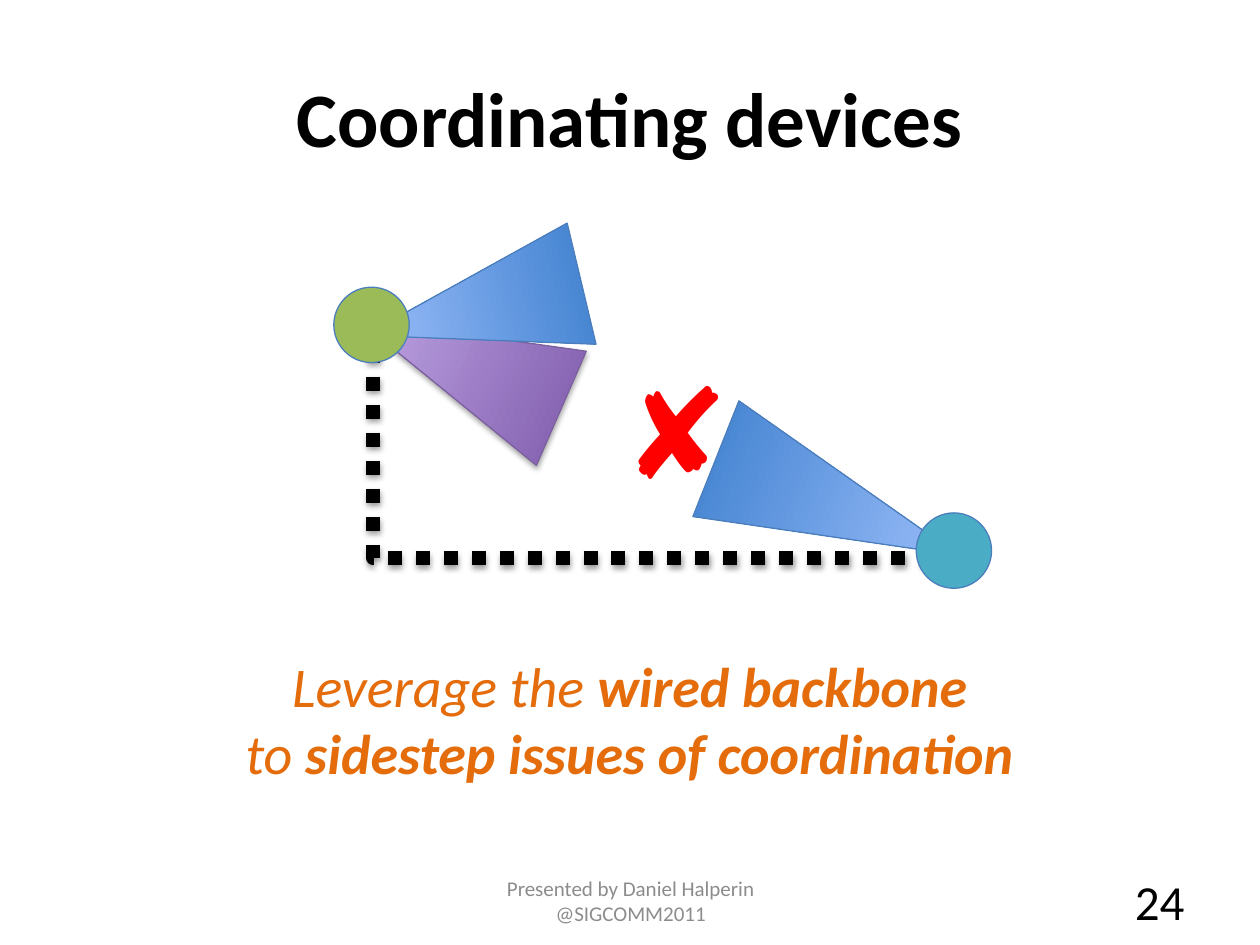
from lxml.etree import SubElement
from pptx import Presentation
from pptx.dml.color import RGBColor
from pptx.enum.dml import MSO_LINE_DASH_STYLE as Dash
from pptx.enum.shapes import MSO_CONNECTOR as Connector, MSO_SHAPE as Shape
from pptx.enum.text import MSO_ANCHOR as Anchor, PP_ALIGN as Align
from pptx.oxml.ns import qn
from pptx.util import Cm, Pt

BLUE_BEAM = ("3F80CE", "A4C4FF", "4B7EBC")
PURPLE_BEAM = ("7F5BAB", "C8B0ED", "7D60A0")
NODE_SIZE = 1.52
BEAM_WIDTH = 2.51


def color(hex_code):
    """Turn a hex string into a colour."""
    return RGBColor.from_string(hex_code)


def outline(line, hex_code, width):
    """Give a line its colour and its width in points."""
    line.color.rgb = color(hex_code)
    line.width = Pt(width)


def cast_shadow(effects, opacity, distance):
    """Add a soft black shadow that falls straight down."""
    shadow = SubElement(effects, qn("a:outerShdw"), blurRad="40000", dist=str(distance),
                        dir="5400000", rotWithShape="0")
    black = SubElement(shadow, qn("a:srgbClr"), val="000000")
    SubElement(black, qn("a:alpha"), val=str(opacity * 1000))


def add_backbone(slide, left, top, right, bottom):
    """Draw the dotted wire that runs down and then across."""
    wire = slide.shapes.add_connector(Connector.ELBOW, Cm(left), Cm(top), Cm(right), Cm(bottom))
    outline(wire.line, "000000", 8)
    wire.line.dash_style = Dash.ROUND_DOT
    properties = wire._element.spPr
    guides = properties.find(qn("a:prstGeom")).get_or_add_avLst()
    SubElement(guides, qn("a:gd"), name="adj1", fmla="val 300")
    cast_shadow(SubElement(properties, qn("a:effectLst")), 38, 20000)


def add_beam(slide, left, top, length, rotation, colors, shaded=False):
    """Draw a triangular beam that gets lighter towards its tip."""
    far, near, edge = colors
    beam = slide.shapes.add_shape(Shape.ISOSCELES_TRIANGLE, Cm(left), Cm(top),
                                  Cm(BEAM_WIDTH), Cm(length))
    beam.rotation = rotation
    beam.fill.gradient()
    beam.fill.gradient_angle = 90
    for stop, hex_code in zip(beam.fill.gradient_stops, (far, near)):
        stop.color.rgb = color(hex_code)
    far_stop, near_stop = beam.fill.gradient_stops
    far_stop.position, near_stop.position = 0, 1
    outline(beam.line, edge, 0.75)
    beam.shadow.inherit = False
    if shaded:
        cast_shadow(beam._element.spPr.find(qn("a:effectLst")), 35, 23000)


def add_node(slide, left, top, hex_code):
    """Draw a device as a round node."""
    node = slide.shapes.add_shape(Shape.OVAL, Cm(left), Cm(top), Cm(NODE_SIZE), Cm(NODE_SIZE))
    node.fill.solid()
    node.fill.fore_color.rgb = color(hex_code)
    outline(node.line, "4B7EBC", 0.75)
    node.shadow.inherit = False


def add_text(slide, left, top, width, height, lines, size, hex_code,
             align=Align.CENTER, anchor=Anchor.MIDDLE, italic=False):
    """Write lines made of (words, bold) runs in one paragraph."""
    frame = slide.shapes.add_textbox(Cm(left), Cm(top), Cm(width), Cm(height)).text_frame
    frame.word_wrap = True
    frame.vertical_anchor = anchor
    paragraph = frame.paragraphs[0]
    paragraph.alignment = align
    for index, line in enumerate(lines):
        if index:
            paragraph.add_line_break()
        for words, bold in line:
            run = paragraph.add_run()
            run.text = words
            run.font.name = "Calibri"
            run.font.size = Pt(size)
            run.font.color.rgb = color(hex_code)
            run.font.bold = bold
            run.font.italic = italic


def main():
    """Build the slide and save it."""
    deck = Presentation()
    deck.slide_width, deck.slide_height = Cm(25.4), Cm(19.05)
    slide = deck.slides.add_slide(deck.slide_layouts[6])

    add_backbone(slide, 7.49, 6.5, 18.92, 11.25)
    message = [[("Leverage the ", False), ("wired backbone", True)],
               [("to ", False), ("sidestep issues of coordination", True)]]
    add_text(slide, 0, 13, 25.4, 3, message, 32, "E46C0A", anchor=Anchor.TOP, italic=True)
    add_text(slide, 1.27, 0.76, 22.86, 3.18, [[("Coordinating devices", True)]], 44, "000000")

    add_beam(slide, 15.62, 7.59, 5.26, 111.7, BLUE_BEAM)
    add_node(slide, 18.47, 10.34, "4BACC6")
    add_beam(slide, 8, 5.08, 4.5, 293.6, PURPLE_BEAM, shaded=True)
    add_beam(slide, 8.28, 3.99, 4.5, 256.6, BLUE_BEAM)
    add_text(slide, 12.01, 7.01, 3.25, 3.33, [[("✘", False)]], 72, "FF0000", anchor=Anchor.TOP)
    add_node(slide, 6.73, 5.79, "9BBB59")

    add_text(slide, 8.69, 17.65, 8.05, 1.02,
             [[("Presented by Daniel Halperin @SIGCOMM2011", False)]], 12, "8C8C8C")
    add_text(slide, 18.21, 17.65, 5.92, 1.02, [[("24", False)]], 28, "000000", align=Align.RIGHT)
    deck.save("out.pptx")


if __name__ == "__main__":
    main()
